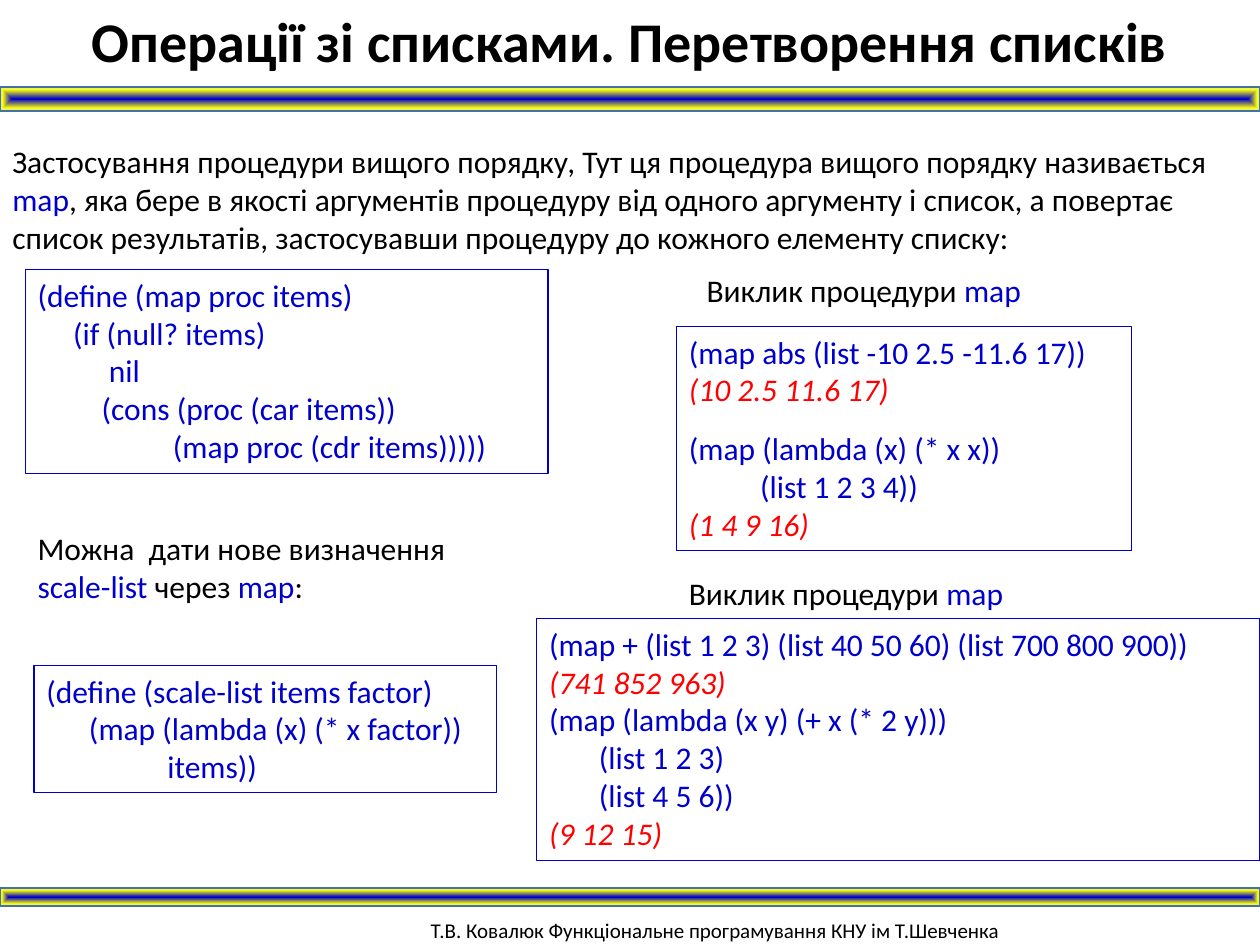
import pptx
import pptx.util
import pptx.dml.color
import pptx.enum.shapes
import pptx.enum.text
import pptx.oxml
import pptx.oxml.ns

Pt = pptx.util.Pt
BLACK, BLUE, RED = "000000", "0000CC", "FF0000"
SPACE_WIDTH = 4.07

TITLE = "Операції зі списками. Перетворення списків"
FOOTER = "Т.В. Ковалюк Функціональне програмування КНУ ім Т.Шевченка"
CALL = [("Виклик процедури ", BLACK), ("map", BLUE)]

NOTES = [
    ((0, 77.8, 708.5, 72.7), True, 18, [
        ("Застосування процедури вищого порядку, Тут ця процедура вищого "
         "порядку називається ", BLACK),
        ("map", BLUE),
        (", яка бере в якості аргументів процедуру від одного аргументу і список, "
         "а повертає список результатів, застосувавши процедуру до кожного "
         "елементу списку:", BLACK)]),
    ((396.7, 151.2, 200, 29), False, 18, CALL),
    ((14.4, 298.8, 268.6, 51), True, 18, [
        ("Можна  дати нове визначення ", BLACK), ("scale-list ", BLUE),
        ("через ", BLACK), ("map", BLUE), (":", BLACK)]),
    ((386.6, 324.7, 200, 29), False, 18, CALL),
    ((239, 520.6, 432, 23), True, 12, [(FOOTER, BLACK)]),
]

# Each code line: indent in spaces, colour, space before, text
LISTINGS = [
    ((14.4, 154.1, 298.8, 116.6), [
        (0, BLUE, 0, "(define (map proc items)"),
        (5, BLUE, 0, "(if (null? items)"),
        (10, BLUE, 0, "nil"),
        (9, BLUE, 0, "(cons (proc (car items))"),
        (19, BLUE, 0, "(map proc (cdr items)))))")]),
    ((386.6, 186.5, 260, 128), [
        (0, BLUE, 0, "(map abs (list -10 2.5 -11.6 17))"),
        (0, RED, 0, "(10 2.5 11.6 17)"),
        (0, BLUE, 12, "(map (lambda (x) (* x x))"),
        (10, BLUE, 0, "(list 1 2 3 4))"),
        (0, RED, 0, "(1 4 9 16)")]),
    ((19.4, 380.2, 264.2, 72.7), [
        (0, BLUE, 0, "(define (scale-list items factor)"),
        (6, BLUE, 0, "(map (lambda (x) (* x factor))"),
        (17, BLUE, 0, "items))")]),
    ((306.7, 353.5, 413.3, 138.2), [
        (0, BLUE, 0, "(map + (list 1 2 3) (list 40 50 60) (list 700 800 900))"),
        (0, RED, 0, "(741 852 963)"),
        (0, BLUE, 0, "(map (lambda (x y) (+ x (* 2 y)))"),
        (7, BLUE, 0, "(list 1 2 3)"),
        (7, BLUE, 0, "(list 4 5 6))"),
        (0, RED, 0, "(9 12 15)")]),
]

BANDS = [(0, 49.7, 720, 13.7), (0, 507.6, 720, 10.1)]
BAND_STOPS = [(0, BLUE), (77, "FFFF00"), (100, "CEE1F2")]


def colour(value):
    return pptx.dml.color.RGBColor.from_string(value)


def points(place):
    return [Pt(length) for length in place]


def style(span, size, value, bold=False, italic=False):
    span.font.name = "Calibri"
    span.font.size = Pt(size)
    span.font.bold = bold
    span.font.italic = italic
    span.font.color.rgb = colour(value)


def add_rectangle(page, place, line, width):
    box = page.shapes.add_shape(
        pptx.enum.shapes.MSO_SHAPE.RECTANGLE, *points(place))
    box.shadow.inherit = False
    box.line.color.rgb = colour(line)
    box.line.width = Pt(width)
    return box


def add_band(page, place):
    band = add_rectangle(page, place, "43739E", 1)
    stops = "".join(
        f'<a:gs pos="{position * 1000}"><a:srgbClr val="{value}"/></a:gs>'
        for position, value in BAND_STOPS)
    gradient = pptx.oxml.parse_xml(
        f'<a:gradFill {pptx.oxml.ns.nsdecls("a")} rotWithShape="1">'
        f'<a:gsLst>{stops}</a:gsLst><a:path path="shape">'
        '<a:fillToRect l="50000" t="50000" r="50000" b="50000"/>'
        '</a:path></a:gradFill>')
    band.fill.background()
    blank = band.element.spPr.find(pptx.oxml.ns.qn("a:noFill"))
    band.element.spPr.replace(blank, gradient)


def add_title(page):
    title = page.shapes.title
    title.left, title.top, title.width, title.height = points((0, 0, 720, 46))
    frame = title.text_frame
    frame.text = TITLE
    frame.auto_size = pptx.enum.text.MSO_AUTO_SIZE.NONE
    frame.vertical_anchor = pptx.enum.text.MSO_ANCHOR.TOP
    para = frame.paragraphs[0]
    para.alignment = pptx.enum.text.PP_ALIGN.CENTER
    style(para.runs[0], 32, BLACK, bold=True)


def add_note(page, place, wrap, size, spans):
    frame = page.shapes.add_textbox(*points(place)).text_frame
    frame.word_wrap = wrap
    for text, value in spans:
        span = frame.paragraphs[0].add_run()
        span.text = text
        style(span, size, value)


def add_listing(page, place, lines):
    box = add_rectangle(page, place, BLUE, 0.75)
    box.fill.background()
    frame = box.text_frame
    frame.word_wrap = True
    frame.vertical_anchor = pptx.enum.text.MSO_ANCHOR.TOP
    frame.text = "\n".join(text for *_, text in lines)
    for para, (indent, value, before, _) in zip(frame.paragraphs, lines):
        para.alignment = pptx.enum.text.PP_ALIGN.LEFT
        para.space_before = Pt(before)
        para._p.get_or_add_pPr().set("marL", str(Pt(indent * SPACE_WIDTH)))
        style(para.runs[0], 18, value, italic=value == RED)


def main():
    deck = pptx.Presentation()
    deck.slide_width, deck.slide_height = Pt(720), Pt(540)
    page = deck.slides.add_slide(deck.slide_layouts[5])
    for place in BANDS:
        add_band(page, place)
    add_title(page)
    for note in NOTES:
        add_note(page, *note)
    for listing in LISTINGS:
        add_listing(page, *listing)
    deck.save("out.pptx")


if __name__ == "__main__":
    main()
